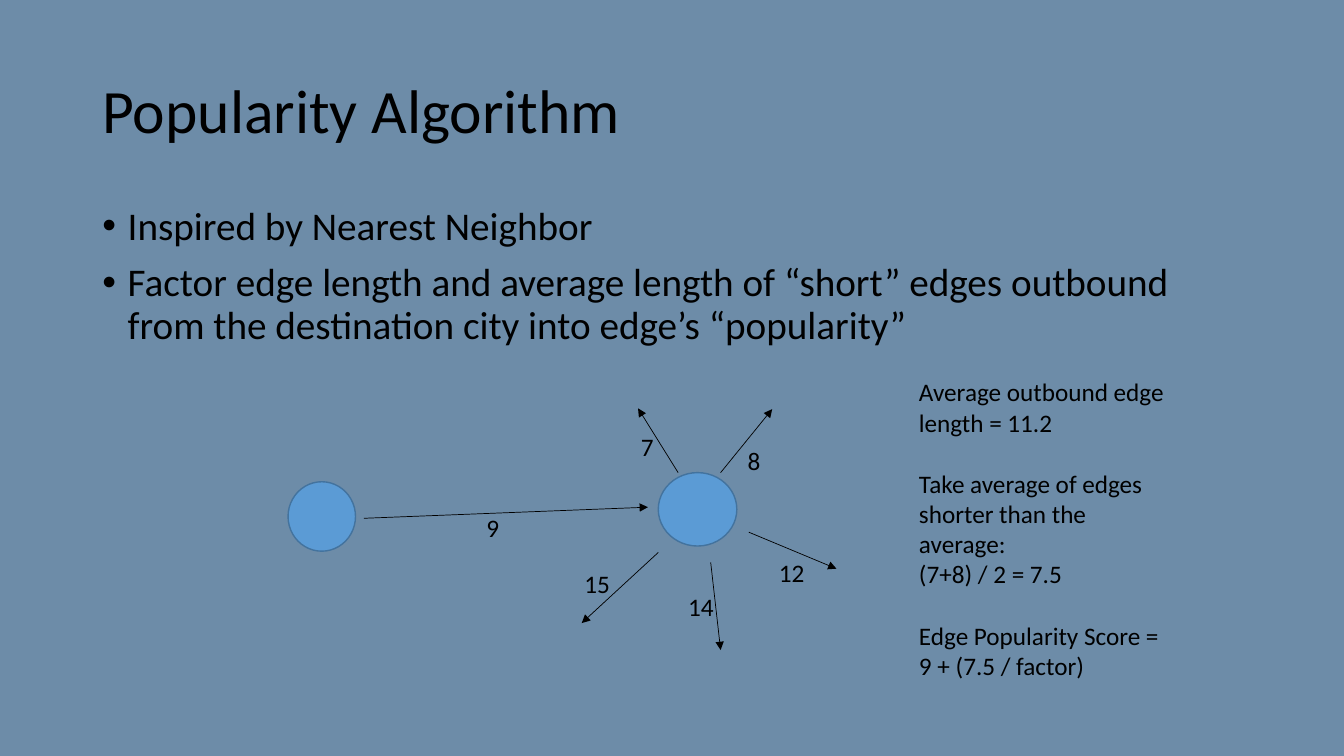
from pptx import Presentation
from pptx.dml.color import RGBColor
from pptx.enum.shapes import MSO_CONNECTOR, MSO_SHAPE
from pptx.enum.text import MSO_ANCHOR, PP_ALIGN
from pptx.oxml.ns import qn
from pptx.util import Cm, Pt
from lxml.etree import SubElement

TITLE = "Popularity Algorithm"
POINTS = [
    "Inspired by Nearest Neighbor",
    "Factor edge length and average length of “short” edges outbound "
    "from the destination city into edge’s “popularity”",
]
NOTES = [
    ("Average outbound edge length = 11.2", 0),
    ("Take average of edges shorter than the average:", 22),
    ("(7+8) / 2 = 7.5", 0),
    ("Edge Popularity Score = 9 + (7.5 / factor)", 22),
]
CITIES = [(7.26, 12.14, 1.7, 1.75), (16.59, 11.91, 1.98, 1.85)]
EDGES = [
    ("9", (9.17, 13.06), (16.33, 12.78), (12.01, 12.78, 0.84)),
    ("8", (18.16, 11.91), (19.46, 10.31), (18.59, 11.1, 0.84)),
    ("7", (17.09, 11.91), (16.08, 10.29), (15.9, 10.74, 0.97)),
    ("15", (16.59, 13.92), (14.66, 15.7), (14.48, 14.2, 1.17)),
    ("12", (18.87, 13.41), (21.08, 14.33), (19.38, 13.92, 1.17)),
    ("14", (17.91, 14.17), (18.16, 16.38), (17.09, 14.78, 1.27)),
]


def color(code):
    return RGBColor.from_string(code)


def write(slide, place, lines, size, wrap=True):
    box = slide.shapes.add_textbox(*map(Cm, place))
    frame = box.text_frame
    frame.word_wrap = wrap
    frame.text = "\n".join(lines)
    for para in frame.paragraphs:
        para.alignment = PP_ALIGN.LEFT
        for run in para.runs:
            run.font.size = Pt(size)
            run.font.name = "Calibri"
            run.font.color.rgb = color("000000")
    return frame


def bullet(para):
    para.line_spacing = 0.9
    para.space_before = Pt(10)
    props = para._p.get_or_add_pPr()
    props.set("marL", str(Cm(0.64)))
    props.set("indent", str(-Cm(0.64)))
    SubElement(props, qn("a:buFont")).set("typeface", "Arial")
    SubElement(props, qn("a:buChar")).set("char", "•")


def circle(slide, place):
    city = slide.shapes.add_shape(MSO_SHAPE.OVAL, *map(Cm, place))
    city.shadow.inherit = False
    city.fill.solid()
    city.fill.fore_color.rgb = color("5B9BD5")
    city.line.color.rgb = color("43739E")
    city.line.width = Pt(1)


def arrow(slide, start, end):
    edge = slide.shapes.add_connector(
        MSO_CONNECTOR.STRAIGHT, *map(Cm, start + end))
    edge.line.color.rgb = color("000000")
    edge.line.width = Pt(0.5)
    SubElement(edge.line._get_or_add_ln(), qn("a:tailEnd")).set("type", "triangle")
    SubElement(edge._element.spPr, qn("a:effectLst"))


def main():
    deck = Presentation()
    deck.slide_width, deck.slide_height = Cm(33.87), Cm(19.05)
    slide = deck.slides.add_slide(deck.slide_layouts[6])
    slide.background.fill.solid()
    slide.background.fill.fore_color.rgb = color("6D8CA8")

    title = write(slide, (2.33, 1.01, 29.21, 3.68), [TITLE], 44)
    title.vertical_anchor = MSO_ANCHOR.MIDDLE
    title.paragraphs[0].line_spacing = 0.9

    body = write(slide, (2.33, 5.08, 29.21, 4.32), POINTS, 28)
    for para in body.paragraphs:
        bullet(para)

    for place in CITIES:
        circle(slide, place)
    for length, start, end, label in EDGES:
        arrow(slide, start, end)
        write(slide, label + (1.02,), [length], 18, wrap=False)

    notes = write(slide, (22.91, 9.37, 6.73, 7.95), [text for text, gap in NOTES], 18)
    for para, (text, gap) in zip(notes.paragraphs, NOTES):
        para.space_before = Pt(gap)

    deck.save("out.pptx")


if __name__ == "__main__":
    main()
